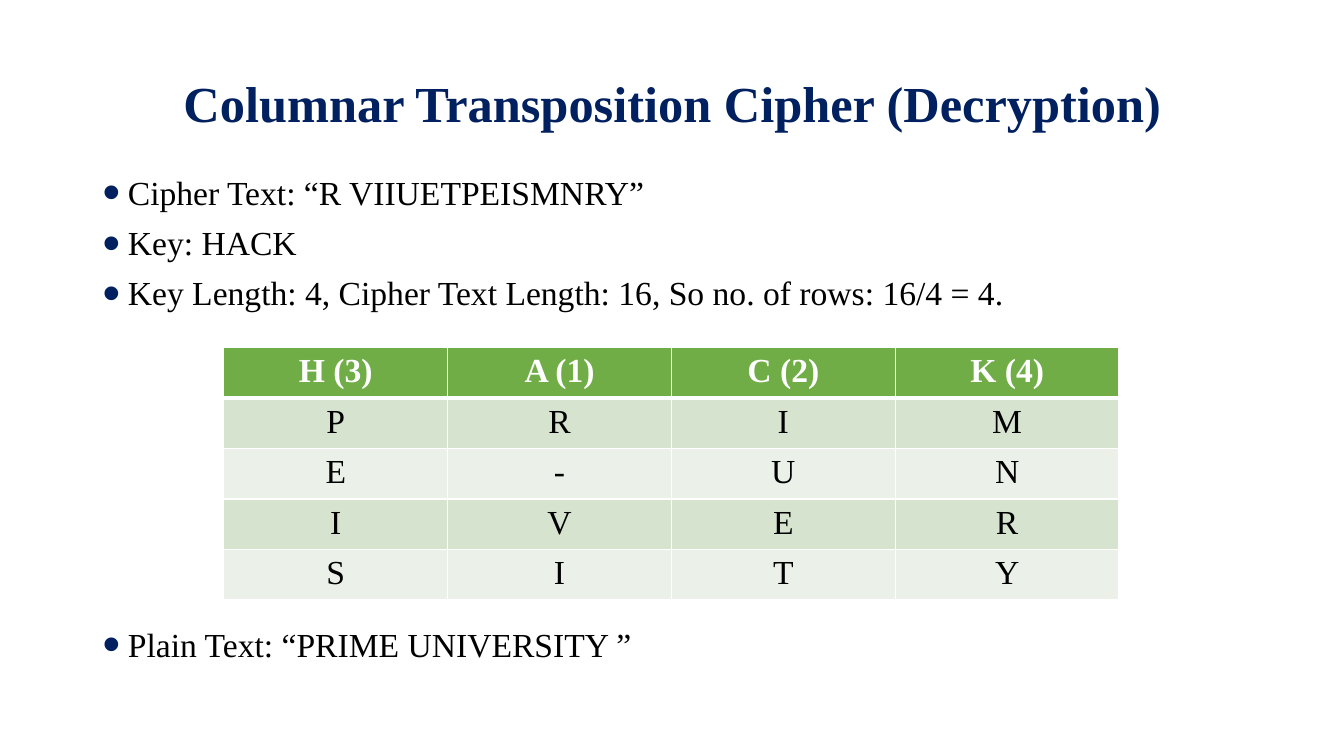
from dataclasses import dataclass

from lxml import etree
from pptx import Presentation
from pptx.dml.color import RGBColor
from pptx.enum.text import MSO_ANCHOR, PP_ALIGN
from pptx.oxml.ns import qn
from pptx.util import Inches, Pt


@dataclass(frozen=True)
class Theme:
    """Colours, font and type sizes of the slide."""
    font: str = "Times New Roman"
    title_size: int = 36
    text_size: int = 24
    navy: str = "002060"
    black: str = "000000"
    white: str = "FFFFFF"
    header: str = "70AD47"
    bands: tuple = ("D5E3CF", "EBF1E9")


THEME = Theme()

FACTS = [
    "Cipher Text: “R VIIUETPEISMNRY”",
    "Key: HACK",
    "Key Length: 4, Cipher Text Length: 16, So no. of rows: 16/4 = 4.",
]
RESULT = "Plain Text: “PRIME UNIVERSITY ”"
KEY_COLUMNS = ["H (3)", "A (1)", "C (2)", "K (4)"]
CIPHER_ROWS = ["PRIM", "E-UN", "IVER", "SITY"]


def write(paragraph, text, size, color, align, bold=False):
    """Put one styled run of text in a paragraph."""
    paragraph.alignment = align
    run = paragraph.add_run()
    run.text = text
    run.font.name = THEME.font
    run.font.size = Pt(size)
    run.font.bold = bold
    run.font.color.rgb = RGBColor.from_string(color)


def add_text_frame(slide, left, top, width, height, anchor):
    """Add a wrapping text box and return its text frame."""
    box = slide.shapes.add_textbox(
        Inches(left), Inches(top), Inches(width), Inches(height))
    frame = box.text_frame
    frame.word_wrap = True
    frame.vertical_anchor = anchor
    return frame


def add_title(slide, text):
    """Add the centred slide title."""
    frame = add_text_frame(slide, 0.92, 0.4, 11.5, 1.3, MSO_ANCHOR.MIDDLE)
    paragraph = frame.paragraphs[0]
    paragraph.line_spacing = 0.9
    write(paragraph, text, THEME.title_size, THEME.navy, PP_ALIGN.CENTER, True)


def set_bullet(paragraph):
    """Give a paragraph a large navy bullet and a hanging indent."""
    props = paragraph._p.get_or_add_pPr()
    props.set("marL", str(Inches(0.25)))
    props.set("indent", str(-Inches(0.25)))
    color = etree.SubElement(props, qn("a:buClr"))
    etree.SubElement(color, qn("a:srgbClr"), val=THEME.navy)
    etree.SubElement(props, qn("a:buSzPct"), val="150000")
    etree.SubElement(props, qn("a:buFont"), typeface="Arial")
    etree.SubElement(props, qn("a:buChar"), char="•")


def add_bullets(slide, facts, result, result_gap):
    """Add the facts, then the result below a gap (points) for the table."""
    frame = add_text_frame(slide, 0.92, 1.7, 11.5, 5.7, MSO_ANCHOR.TOP)
    for index, text in enumerate([*facts, result]):
        paragraph = frame.add_paragraph() if index else frame.paragraphs[0]
        paragraph.line_spacing = 0.9
        paragraph.space_before = Pt(result_gap if index == len(facts) else 10)
        set_bullet(paragraph)
        write(paragraph, text, THEME.text_size, THEME.black, PP_ALIGN.JUSTIFY)


def set_borders(cell, top, bottom):
    """Draw white borders, 1 pt at the sides, ahead of the cell's fill."""
    props = cell._tc.get_or_add_tcPr()
    sides = {"a:lnL": 1, "a:lnR": 1, "a:lnT": top, "a:lnB": bottom}
    for position, (tag, width) in enumerate(sides.items()):
        line = etree.Element(qn(tag), w=str(Pt(width)))
        fill = etree.SubElement(line, qn("a:solidFill"))
        etree.SubElement(fill, qn("a:srgbClr"), val=THEME.white)
        props.insert(position, line)


def add_cipher_table(slide, header, rows):
    """Add the key header over banded rows of letters."""
    grid = [header, *rows]
    column_width, row_height = 2.22, 0.47
    table = slide.shapes.add_table(
        len(grid), len(header), Inches(2.22), Inches(3.45),
        Inches(column_width * len(header)),
        Inches(row_height * len(grid))).table
    for r, values in enumerate(grid):
        is_header = r == 0
        fill = THEME.header if is_header else THEME.bands[(r - 1) % 2]
        color = THEME.white if is_header else THEME.black
        for c, value in enumerate(values):
            cell = table.cell(r, c)
            cell.fill.solid()
            cell.fill.fore_color.rgb = RGBColor.from_string(fill)
            set_borders(cell, top=3 if r == 1 else 1,
                        bottom=3 if is_header else 1)
            write(cell.text_frame.paragraphs[0], value, THEME.text_size,
                  color, PP_ALIGN.CENTER, is_header)


def main():
    """Build the slide and save it."""
    deck = Presentation()
    deck.slide_width, deck.slide_height = Inches(13.33), Inches(7.5)
    slide = deck.slides.add_slide(deck.slide_layouts[6])
    add_title(slide, "Columnar Transposition Cipher (Decryption)")
    add_bullets(slide, FACTS, RESULT, result_gap=225)
    add_cipher_table(slide, KEY_COLUMNS, CIPHER_ROWS)
    deck.save("out.pptx")


main()
